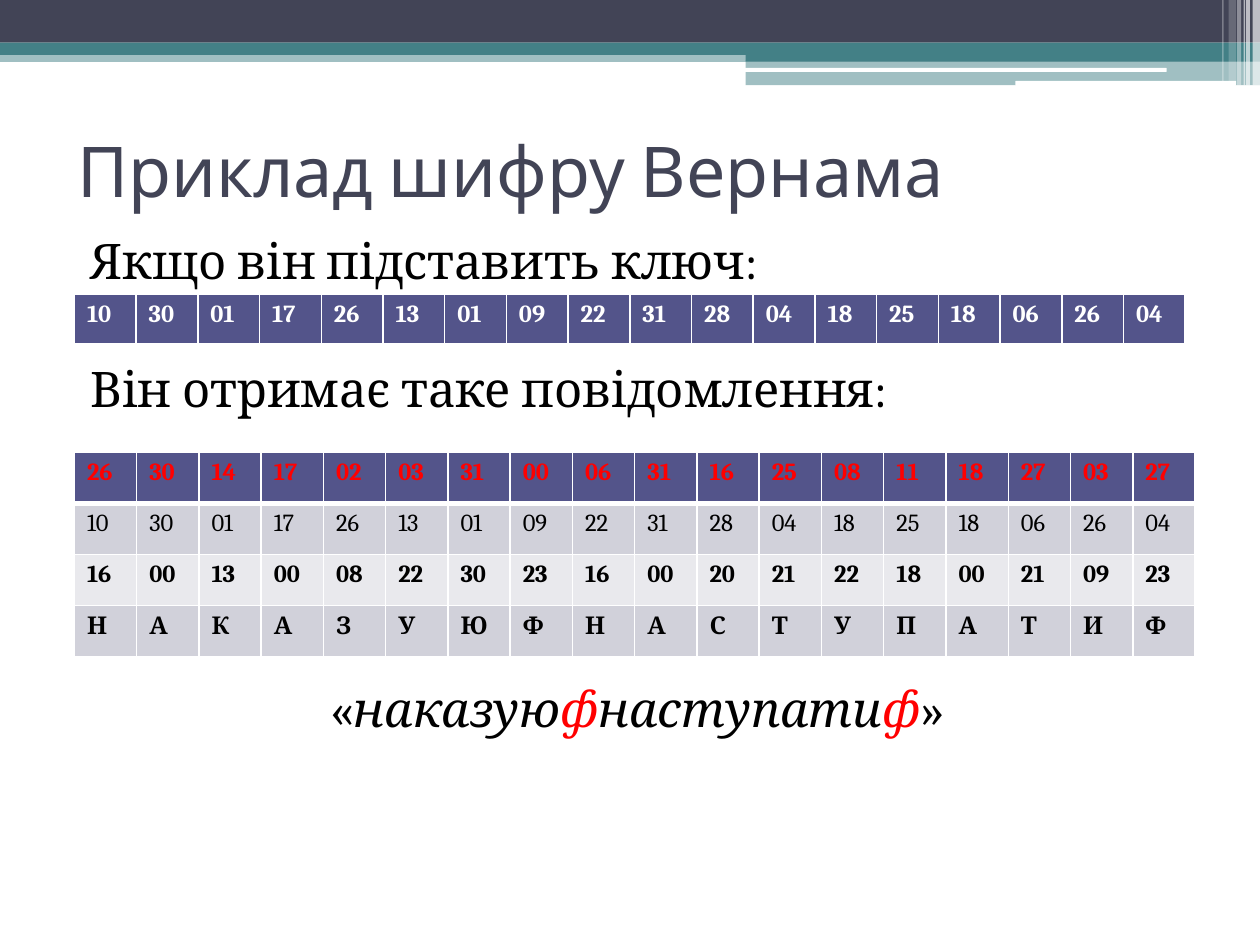
from dataclasses import dataclass
from typing import Optional

import pptx
import pptx.dml.color
import pptx.enum.shapes
import pptx.enum.text
import pptx.oxml.ns
import pptx.util
from lxml import etree
from pptx.util import Cm

COLORS = {
    "white": "FFFFFF", "black": "000000", "red": "FF0000",
    "slate": "424456", "teal": "438086", "header": "53548A",
    "band_dark": "D1D1DA", "band_light": "E9E9ED",
}
TITLE_FONT, BODY_FONT = "Cabin", "Cambria"
LINE_PITCH = 36.6  # points from one body line to the next
SPACE_BEFORE = 3


@dataclass
class Bar:
    left: float
    top: float
    width: float
    height: float
    color: str
    opacity: Optional[int] = None
    rounded: bool = False


@dataclass
class TextRun:
    text: str
    color: str = "black"
    italic: bool = False


@dataclass
class BodyLine:
    runs: list[TextRun]
    skipped_lines: int = 0
    centered: bool = False


@dataclass
class TableRow:
    values: str
    fill: str
    color: str = "black"
    bold: bool = True


BARS = [
    Bar(0, 1.02, 25.4, 0.23, "teal", 50),
    Bar(0, 0, 25.4, 0.86, "slate"),
    Bar(0, 0.86, 25.4, 0.25, "teal"),
    Bar(15.03, 0.99, 10.37, 0.25, "teal"),
    Bar(15.03, 1.22, 10.37, 0.5, "teal", 50),
    Bar(15.01, 1.37, 8.51, 0.08, "white", rounded=True),
    Bar(20.47, 1.63, 4.45, 0.1, "white", rounded=True),
    Bar(25.25, 0, 0.15, 1.73, "white", 65),
    Bar(25.12, 0, 0.08, 1.73, "white", 65),
    Bar(25.07, 0, 0.03, 1.73, "white", 60),
    Bar(24.94, 0, 0.08, 1.73, "white", 40),
    Bar(24.77, 0, 0.15, 1.63, "white", 20),
    Bar(24.64, 0, 0.03, 1.63, "white", 30),
]

BODY_LINES = [
    BodyLine([TextRun("Якщо він підставить ключ:")]),
    BodyLine([TextRun("Він отримає таке повідомлення:")], skipped_lines=1),
    BodyLine([
        TextRun("«"),
        TextRun("наказую", italic=True),
        TextRun("ф", "red", True),
        TextRun("наступати", italic=True),
        TextRun("ф", "red", True),
        TextRun("»"),
    ], skipped_lines=4, centered=True),
]

KEY = "10 30 01 17 26 13 01 09 22 31 28 04 18 25 18 06 26 04"
CIPHER_ROWS = [
    TableRow("26 30 14 17 02 03 31 00 06 31 16 25 08 11 18 27 03 27", "header", "red"),
    TableRow(KEY, "band_dark", bold=False),
    TableRow("16 00 13 00 08 22 30 23 16 00 20 21 22 18 00 21 09 23", "band_light"),
    TableRow("Н А К А З У Ю Ф Н А С Т У П А Т И Ф", "band_dark"),
]
KEY_ROWS = [TableRow(KEY, "header", "white")]


def rgb(name: str) -> pptx.dml.color.RGBColor:
    return pptx.dml.color.RGBColor.from_string(COLORS[name])


def add_run(paragraph, text: str, font: str, size: float, color: str,
            bold: bool = False, italic: bool = False) -> None:
    run = paragraph.add_run()
    run.text = text
    run.font.name = font
    run.font.size = pptx.util.Pt(size)
    run.font.bold = bold
    run.font.italic = italic
    run.font.color.rgb = rgb(color)


def add_bar(slide, bar: Bar) -> None:
    kinds = pptx.enum.shapes.MSO_SHAPE
    shape = slide.shapes.add_shape(
        kinds.ROUNDED_RECTANGLE if bar.rounded else kinds.RECTANGLE,
        Cm(bar.left), Cm(bar.top), Cm(bar.width), Cm(bar.height))
    shape.shadow.inherit = False
    shape.line.fill.background()
    shape.fill.solid()
    shape.fill.fore_color.rgb = rgb(bar.color)
    if bar.opacity is not None:
        color = shape.fill._xPr.find(".//" + pptx.oxml.ns.qn("a:srgbClr"))
        etree.SubElement(color, pptx.oxml.ns.qn("a:alpha"), val=str(bar.opacity * 1000))


def add_title(slide, text: str) -> None:
    title = slide.shapes.title
    title.left, title.top, title.width, title.height = Cm(1.3), Cm(1.93), Cm(22.86), Cm(2.97)
    frame = title.text_frame
    frame.auto_size = pptx.enum.text.MSO_AUTO_SIZE.NONE
    frame.vertical_anchor = pptx.enum.text.MSO_ANCHOR.MIDDLE
    frame.paragraphs[0].alignment = pptx.enum.text.PP_ALIGN.LEFT
    add_run(frame.paragraphs[0], text, TITLE_FONT, 40, "slate")


def add_body(slide, lines: list[BodyLine]) -> None:
    frame = slide.shapes.add_textbox(Cm(1.27), Cm(4.52), Cm(22.86), Cm(13.74)).text_frame
    frame.word_wrap = True
    for index, line in enumerate(lines):
        paragraph = frame.add_paragraph() if index else frame.paragraphs[0]
        paragraph.space_before = pptx.util.Pt(SPACE_BEFORE + line.skipped_lines * LINE_PITCH)
        paragraph._p.get_or_add_pPr().set("marL", str(Cm(0.3)))
        if line.centered:
            paragraph.alignment = pptx.enum.text.PP_ALIGN.CENTER
        for run in line.runs:
            add_run(paragraph, run.text, BODY_FONT, 28, run.color, italic=run.italic)


def set_borders(cell, widths: dict[str, float]) -> None:
    properties = cell._tc.get_or_add_tcPr()
    for position, (side, width) in enumerate(widths.items()):
        line = etree.Element(pptx.oxml.ns.qn(f"a:ln{side}"), w=str(pptx.util.Pt(width)))
        fill = etree.SubElement(line, pptx.oxml.ns.qn("a:solidFill"))
        etree.SubElement(fill, pptx.oxml.ns.qn("a:srgbClr"), val=COLORS["white"])
        properties.insert(position, line)


def add_number_table(slide, top: float, width: float, rows: list[TableRow]) -> None:
    column_count = len(rows[0].values.split())
    row_height = Cm(1.03)
    table = slide.shapes.add_table(len(rows), column_count, Cm(1.5), Cm(top),
                                   Cm(width), row_height * len(rows)).table
    for column in table.columns:
        column.width = Cm(width / column_count)
    for row_index, row in enumerate(rows):
        table.rows[row_index].height = row_height
        # A thick rule separates the header from the rows below
        borders = {"L": 1, "R": 1,
                   "T": 3 if row_index == 1 else 1,
                   "B": 3 if row_index == 0 else 1}
        for column_index, value in enumerate(row.values.split()):
            cell = table.cell(row_index, column_index)
            cell.fill.solid()
            cell.fill.fore_color.rgb = rgb(row.fill)
            set_borders(cell, borders)
            add_run(cell.text_frame.paragraphs[0], value, BODY_FONT, 14, row.color, row.bold)


def main() -> None:
    presentation = pptx.Presentation()
    presentation.slide_width, presentation.slide_height = Cm(25.4), Cm(19.05)
    slide = presentation.slides.add_slide(presentation.slide_layouts[5])

    # Decorative header
    for bar in BARS:
        add_bar(slide, bar)

    # Title and text
    add_title(slide, "Приклад шифру Вернама")
    add_body(slide, BODY_LINES)

    # Decryption and key tables
    add_number_table(slide, 9.12, 22.6, CIPHER_ROWS)
    add_number_table(slide, 5.93, 22.4, KEY_ROWS)

    presentation.save("out.pptx")


if __name__ == "__main__":
    main()
